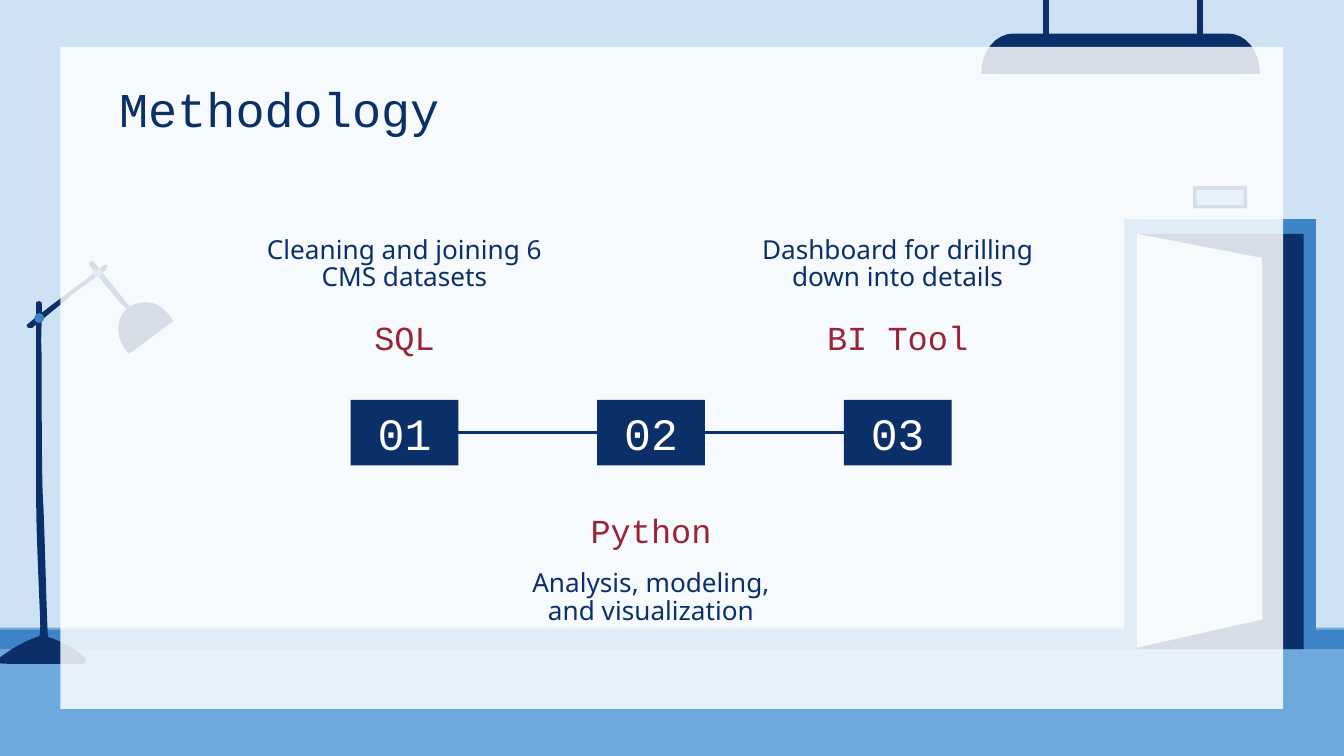
from typing import NamedTuple

from lxml import etree
from pptx import Presentation
from pptx.dml import color
from pptx.enum import shapes, text
from pptx.oxml import ns
from pptx.util import Pt

NAVY, BLUE, SKY, PALE = "0B2F69", "3D85C6", "6FA8DC", "CFE2F3"
WHITE, RED = "FFFFFF", "972538"
MONO, SANS = "Courier New", "Noto Sans"
RECTANGLE, OVAL = shapes.MSO_SHAPE.RECTANGLE, shapes.MSO_SHAPE.OVAL
CURVE_STEPS = 8


class Box(NamedTuple):
    left: float
    top: float
    width: float
    height: float


class Outline(NamedTuple):
    """A start point, then segments: 2 numbers for a line, 6 for a Bezier curve."""
    start: tuple
    segments: list
    fill: str = NAVY


class Style(NamedTuple):
    font: str
    size: float
    colour: str
    align: text.PP_ALIGN = text.PP_ALIGN.CENTER
    anchor: text.MSO_ANCHOR = text.MSO_ANCHOR.MIDDLE
    spacing: float = 1.0


class Step(NamedTuple):
    number: str
    heading: str
    caption: str
    heading_top: float
    caption_top: float


TITLE = Style(MONO, 26, NAVY, text.PP_ALIGN.LEFT, text.MSO_ANCHOR.TOP)
HEADING = Style(MONO, 18, RED)
CAPTION = Style(SANS, 14, NAVY, anchor=text.MSO_ANCHOR.TOP, spacing=0.87)
NUMBER = Style(MONO, 24, WHITE)

CEILING_LAMP = Outline((658, 18), [
    (667.4, 18, 675, 27.4, 675, 39.6), (525.6, 39.6),
    (525.6, 27.4, 533.5, 18, 542.9, 18)])
FLOOR_LAMP = [
    Outline((20.9, 161.3), [  # pole
        (19.4, 162), (19.4, 164.9, 19.4, 251.3, 19.4, 269.3),
        (19.4, 287.3, 21.6, 329.8, 21.6, 335.5),
        (21.6, 341.3, 20.2, 342.7, 20.9, 343.4), (23, 344.2),
        (24.5, 344.2, 25.9, 343.4, 25.9, 342.7),
        (25.2, 341.3, 23.8, 276.5, 23, 266.4),
        (22.3, 255.6, 22.3, 194.4, 22.3, 189.4),
        (21.6, 180.7, 23, 164.9, 22.3, 162)]),
    Outline((22.3, 340.6), [  # base
        (18.7, 341.3, 10.1, 344.9, 4.3, 349.2),
        (-1.4, 352.8, -1.4, 353.5, -1.4, 355),
        (-1.4, 355.7, 7.2, 355.7, 16.6, 355.7), (38.2, 355.7),
        (43.2, 355.7, 46.1, 355.7, 46.1, 355),
        (46.1, 355, 46.8, 352.8, 44.6, 351.4),
        (42.5, 349.2, 30.2, 341.3, 22.3, 340.6)]),
    Outline((78.5, 162), [  # head
        (74.9, 162, 72, 162.7, 68.4, 164.9),
        (61.2, 171.4, 61.9, 182.2, 69.1, 189.4),
        (71.3, 188.6, 86.4, 176.4, 92.9, 172.1),
        (88.6, 164.9, 83.5, 162, 78.5, 162)]),
    Outline((49, 139.7), [  # upper arm
        (48.2, 139.7, 47.5, 141.1, 48.2, 142.6),
        (49, 143.3, 66.2, 164.9, 69.1, 167), (70.6, 165.6), (50.4, 140.4)]),
    Outline((56.9, 141.8), [  # lower arm
        (56.2, 141.8, 54.7, 142.6, 52.6, 144.7),
        (49, 147.6, 18.7, 169.9, 15.1, 173.5),
        (13.7, 174.2, 14.4, 175.7, 15.8, 175.7), (17.3, 175.7),
        (18.7, 174.2, 36, 160.6, 39.6, 157),
        (43.9, 154.1, 53.3, 146.9, 54.7, 146.2),
        (58.3, 143.3, 57.6, 142.6, 56.9, 141.8)]),
]
DOOR_LEAF = Outline((609.1, 125.3), [(676.1, 138.2), (676.1, 331.9), (609.1, 347)], PALE)

STEPS = [
    Step("01", "SQL", "Cleaning and joining 6 CMS datasets", 165.6, 120.2),
    Step("02", "Python", "Analysis, modeling, and visualization", 268.6, 298.8),
    Step("03", "BI Tool", "Dashboard for drilling down into details", 165.6, 120.2),
]
FIRST_CENTRE, STEP_PITCH = 216.7, 132.1
TEXT_WIDTH, HEADING_HEIGHT, CAPTION_HEIGHT = 168.5, 30.2, 45.4
NUMBER_TOP, NUMBER_WIDTH, NUMBER_HEIGHT = 214.2, 57.8, 35.2


def rgb(value: str) -> color.RGBColor:
    return color.RGBColor.from_string(value)


def lengths(*values: float) -> list:
    return [Pt(value) for value in values]


def paint(shape, fill: str):
    shape.shadow.inherit = False
    shape.fill.solid()
    shape.fill.fore_color.rgb = rgb(fill)
    shape.line.fill.background()
    return shape


def draw_box(slide, box: Box, fill: str, preset=RECTANGLE):
    return paint(slide.shapes.add_shape(preset, *lengths(*box)), fill)


def curve_points(start: tuple, curve: tuple) -> list:
    """Sample a cubic Bezier curve, leaving out its start."""
    controls = [start, curve[:2], curve[2:4], curve[4:]]
    points = []
    for step in range(1, CURVE_STEPS + 1):
        t = step / CURVE_STEPS
        weights = ((1 - t) ** 3, 3 * t * (1 - t) ** 2, 3 * t * t * (1 - t), t ** 3)
        points.append(tuple(sum(w * c[axis] for w, c in zip(weights, controls))
                            for axis in (0, 1)))
    return points


def draw_outline(slide, outline: Outline) -> None:
    points = [outline.start]
    for segment in outline.segments:
        points += [segment] if len(segment) == 2 else curve_points(points[-1], segment)
    builder = slide.shapes.build_freeform(*lengths(*outline.start))
    builder.add_line_segments([lengths(*point) for point in points[1:]], close=True)
    paint(builder.convert_to_shape(), outline.fill)


def write(shape, words: str, style: Style) -> None:
    frame = shape.text_frame
    frame_format = {"word_wrap": True, "vertical_anchor": style.anchor}
    frame_format.update({f"margin_{side}": Pt(7.2)
                         for side in ("left", "top", "right", "bottom")})
    paragraph = frame.paragraphs[0]
    run = paragraph.add_run()
    run.text = words
    formats = [
        (frame, frame_format),
        (paragraph, {"alignment": style.align, "line_spacing": style.spacing}),
        (run.font, {"name": style.font, "size": Pt(style.size)}),
    ]
    for target, values in formats:
        for name, value in values.items():
            setattr(target, name, value)
    run.font.color.rgb = rgb(style.colour)


def draw_text(slide, box: Box, words: str, style: Style) -> None:
    write(slide.shapes.add_textbox(*lengths(*box)), words, style)


def draw_line(slide, left: float, right: float, y: float) -> None:
    line = slide.shapes.add_connector(shapes.MSO_CONNECTOR.STRAIGHT,
                                      *lengths(left, y, right, y))
    line.line.width = Pt(1.5)
    line.line.color.rgb = rgb(NAVY)
    etree.SubElement(line._element.spPr, ns.qn("a:effectLst"))


def draw_room(slide) -> None:
    draw_outline(slide, CEILING_LAMP)
    for left in (559.1, 641.5):
        rod = draw_box(slide, Box(left, 0, 2.6, 25.9), NAVY)
        rod.line.color.rgb = rgb(NAVY)
        rod.line.width = Pt(0.75)
    draw_box(slide, Box(0, 336.2, 720, 68.8), SKY)
    draw_box(slide, Box(0, 337.5, 720, 10.3), BLUE)
    for part in FLOOR_LAMP:
        draw_outline(slide, part)
    for joint in (Box(18.4, 167.8, 5.2, 5.2), Box(49.9, 143.8, 5, 4.8)):
        draw_box(slide, joint, BLUE, OVAL)
    draw_box(slide, Box(602.3, 117.4, 102.7, 230.4), BLUE)
    draw_box(slide, Box(609.1, 125.3, 89.3, 222.5), NAVY)
    draw_outline(slide, DOOR_LEAF)
    draw_box(slide, Box(639.2, 99.8, 28.9, 11.9), NAVY)
    draw_box(slide, Box(641, 101.6, 25.3, 8.2), SKY)
    panel = draw_box(slide, Box(32.4, 25.2, 655, 354.6), WHITE)
    white = panel._element.spPr.find(".//" + ns.qn("a:srgbClr"))
    etree.SubElement(white, ns.qn("a:alpha"), val="84000")


def draw_step(slide, step: Step, centre: float) -> None:
    left = centre - TEXT_WIDTH / 2
    draw_text(slide, Box(left, step.heading_top, TEXT_WIDTH, HEADING_HEIGHT),
              step.heading, HEADING)
    draw_text(slide, Box(left, step.caption_top, TEXT_WIDTH, CAPTION_HEIGHT),
              step.caption, CAPTION)
    number_box = Box(centre - NUMBER_WIDTH / 2, NUMBER_TOP, NUMBER_WIDTH, NUMBER_HEIGHT)
    write(draw_box(slide, number_box, NAVY), step.number, NUMBER)


def main() -> None:
    presentation = Presentation()
    presentation.slide_width, presentation.slide_height = lengths(720, 405)
    slide = presentation.slides.add_slide(presentation.slide_layouts[6])
    slide.background.fill.solid()
    slide.background.fill.fore_color.rgb = rgb(PALE)
    draw_room(slide)
    draw_text(slide, Box(56.7, 35.1, 606.6, 45.1), "Methodology", TITLE)
    centres = [FIRST_CENTRE + i * STEP_PITCH for i in range(len(STEPS))]
    for step, centre in zip(STEPS, centres):
        draw_step(slide, step, centre)
    for centre, following in zip(centres, centres[1:]):
        draw_line(slide, centre + NUMBER_WIDTH / 2, following - NUMBER_WIDTH / 2,
                  NUMBER_TOP + NUMBER_HEIGHT / 2)
    presentation.save("out.pptx")


if __name__ == "__main__":
    main()
